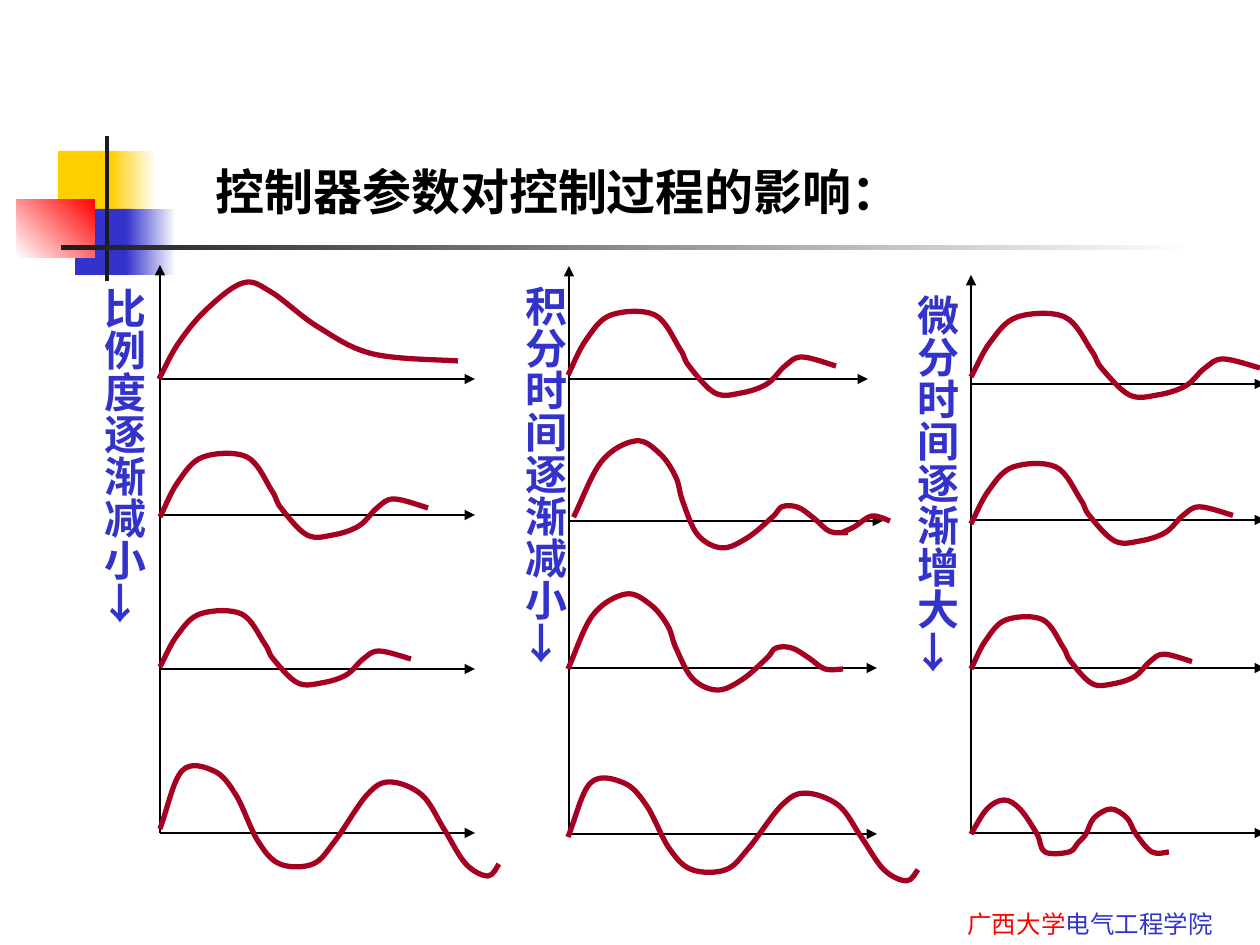
"""Build the slide on how controller parameters affect the control process."""
from lxml.etree import SubElement
from pptx import Presentation
from pptx.dml.color import RGBColor
from pptx.enum.shapes import MSO_CONNECTOR as Connector, MSO_SHAPE as Shape
from pptx.enum.text import MSO_ANCHOR as Anchor, MSO_AUTO_SIZE as AutoSize, PP_ALIGN as Align
from pptx.oxml.ns import qn
from pptx.util import Pt

SCALE = 914400 / 126
BLUE, RED, BLACK, DARK, YELLOW, WHITE = "3333CC", "FF0000", "000000", "1C1C1C", "FFCF01", "FFFFFF"
CURVE = "A50021"
color = RGBColor.from_string


def emu(*lengths):
    return [round(length * SCALE) for length in lengths]


def write(shape, box, runs, font_format, frame_format):
    shape.left, shape.top, shape.width, shape.height = emu(*box)
    frame = shape.text_frame
    for name, value in frame_format.items():
        setattr(frame, name, value)
    paragraph = frame.paragraphs[0]
    paragraph.alignment = Align.LEFT
    for text, run_color in runs:
        run = paragraph.add_run()
        run.text = text
        run.font.color.rgb = color(run_color)
        for name, value in font_format.items():
            setattr(run.font, name, value)


presentation = Presentation()
presentation.slide_width, presentation.slide_height = emu(1260, 945)
slide = presentation.slides.add_slide(presentation.slide_layouts[5])
shapes = slide.shapes

decorations = [
    ((58, 151, 60, 66), YELLOW, None, 0),
    ((110, 151, 46, 66), YELLOW, WHITE, 0),
    ((75, 209, 58, 66), BLUE, None, 0),
    ((126, 209, 50, 66), BLUE, WHITE, 0),
    ((17, 199, 78, 59), WHITE, RED, 45),
    ((105, 136, 4, 145), DARK, None, 0),
    ((61, 245, 1134, 5), DARK, WHITE, 0),
]
for box, start_color, end_color, angle in decorations:
    shape = shapes.add_shape(Shape.RECTANGLE, *emu(*box))
    shape.shadow.inherit = False
    shape.line.fill.background()
    if end_color:
        shape.fill.gradient()
        shape.fill.gradient_angle = angle
        for stop, stop_color in zip(shape.fill.gradient_stops, (start_color, end_color)):
            stop.color.rgb = color(stop_color)
    else:
        shape.fill.solid()
        shape.fill.fore_color.rgb = color(start_color)

write(shapes.title, (203, 155, 776, 72), [("控制器参数对控制过程的影响：", BLACK)],
      {"name": "Times New Roman", "size": Pt(28), "bold": True},
      {"vertical_anchor": Anchor.TOP, "word_wrap": True, "auto_size": AutoSize.SHAPE_TO_FIT_TEXT})
write(shapes.add_textbox(0, 0, 0, 0), (955, 903, 271, 43),
      [("广西大学", RED), ("电气工程学院", BLUE)],
      {"name": "Arial Narrow", "size": Pt(14)}, {"word_wrap": False})

side, end = emu(6, 13)
labels = [
    ("比例度逐渐减小→", (79, 275, 76, 349)),
    ("积分时间逐渐减小→", (500, 273, 76, 391)),
    ("微分时间逐渐增大→", (892, 282, 76, 391)),
]
for text, box in labels:
    label = shapes.add_textbox(0, 0, 0, 0)
    label.text_frame._txBody.bodyPr.set("vert", "eaVert")
    write(label, box, [(text, BLUE)],
          {"name": "Times New Roman", "size": Pt(24), "bold": True},
          {"word_wrap": False, "margin_left": side, "margin_right": side,
           "margin_top": end, "margin_bottom": end})

axes = [
    (160, 833, 265, [(379, 475, 1.5), (515, 475, 1.5), (669, 475, 1.5), (833, 475, 1.5)]),
    (569, 834, 266, [(379, 868, 0.75), (521, 883, 1.5), (668, 877, 0.75), (834, 877, 0.75)]),
    (971, 834, 275, [(384, 1265, 0.75), (520, 1265, 0.75), (668, 1265, 0.75), (833, 1265, 0.75)]),
]
for x, bottom, top, time_axes in axes:
    arrows = [((x, bottom, x, top), 0.75)]
    arrows += [((x, y, right, y), width) for y, right, width in time_axes]
    for ends, width in arrows:
        arrow = shapes.add_connector(Connector.STRAIGHT, *emu(*ends))
        arrow.line.color.rgb = color(BLACK)
        arrow.line.width = Pt(width)
        SubElement(arrow.line._get_or_add_ln(), qn("a:tailEnd"), type="triangle")
        SubElement(arrow.element.spPr, qn("a:effectLst"))

waves = {
    "slow": ((0, 19, 47, 84, 112, 159, 214, 299),
             (0, -35, -69, -96, -87, -52, -25, -18)),
    "damped": ((0, 18, 43, 87, 112, 121, 147, 173, 199, 217, 234, 268),
               (0, -35, -60, -60, -26, -9, 18, 18, 9, -9, -18, -9)),
    "oscillating": ((0, 22, 54, 76, 98, 120, 153, 175, 207, 230, 262, 284, 306, 328, 339),
                    (0, -58, -58, -34, 12, 35, 35, 12, -34, -47, -34, 0, 35, 47, 35)),
    "double": ((0, 25, 58, 83, 100, 108, 125, 150, 175, 199, 208, 224, 241, 257, 275),
               (0, -54, -75, -64, -43, -21, 10, 21, 10, -11, -21, -21, -11, 0, 0)),
    "weak": ((0, 16, 33, 49, 66, 74, 98, 107, 115, 123, 140, 156, 165, 181, 198),
             (0, -25, -34, -25, 0, 18, 18, 9, 0, -16, -25, -16, 0, 18, 18)),
    "tail": ((0, 11, 29, 47), (0, -5, -16, -11)),
}
curves = [
    ("slow", 159, 379, 299, 96, 0),
    ("damped", 160, 517, 268, 78, 0),
    ("damped", 160, 667, 251, 69, 0),
    ("oscillating", 160, 829, 339, 105, 0),
    ("damped", 568, 375, 268, 78, 0),
    ("double", 575, 525, 275, 102, 3.2),
    ("tail", 843, 532, 47, 16, 0),
    ("double", 568, 669, 275, 96, 0),
    ("oscillating", 568, 837, 350, 98, 0),
    ("damped", 971, 377, 289, 78, 0),
    ("damped", 971, 524, 262, 74, 0),
    ("damped", 971, 669, 221, 64, 0),
    ("weak", 971, 834, 198, 52, 0),
]
for name, left, base, width, height, rotation in curves:
    xs, ys = waves[name]
    x_factor, y_factor = width / max(xs), height / (max(ys) - min(ys))
    knots = [(left + x * x_factor, base + y * y_factor) for x, y in zip(xs, ys)]
    lead_in = tuple(2 * first - second for first, second in zip(*knots[:2]))
    padded = [lead_in, *knots, knots[-1]]
    points = []
    for before, start, finish, after in zip(padded, padded[1:], padded[2:], padded[3:]):
        points.append(emu(*(s + (f - b) / 6 for b, s, f in zip(before, start, finish))))
        points.append(emu(*(f - (a - s) / 6 for s, f, a in zip(start, finish, after))))
        points.append(emu(*finish))
    builder = shapes.build_freeform(*emu(*knots[0]))
    builder.add_line_segments(points, close=False)
    curve = builder.convert_to_shape()
    segments = curve.element.xpath(".//a:lnTo")
    outline = segments[0].getparent()
    for index in range(0, len(segments), 3):
        bezier = SubElement(outline, qn("a:cubicBezTo"))
        for segment in segments[index:index + 3]:
            bezier.append(segment[0])
            outline.remove(segment)
    curve.rotation = rotation
    curve.shadow.inherit = False
    curve.fill.background()
    curve.line.color.rgb = color(CURVE)
    curve.line.width = Pt(3)

presentation.save("out.pptx")
